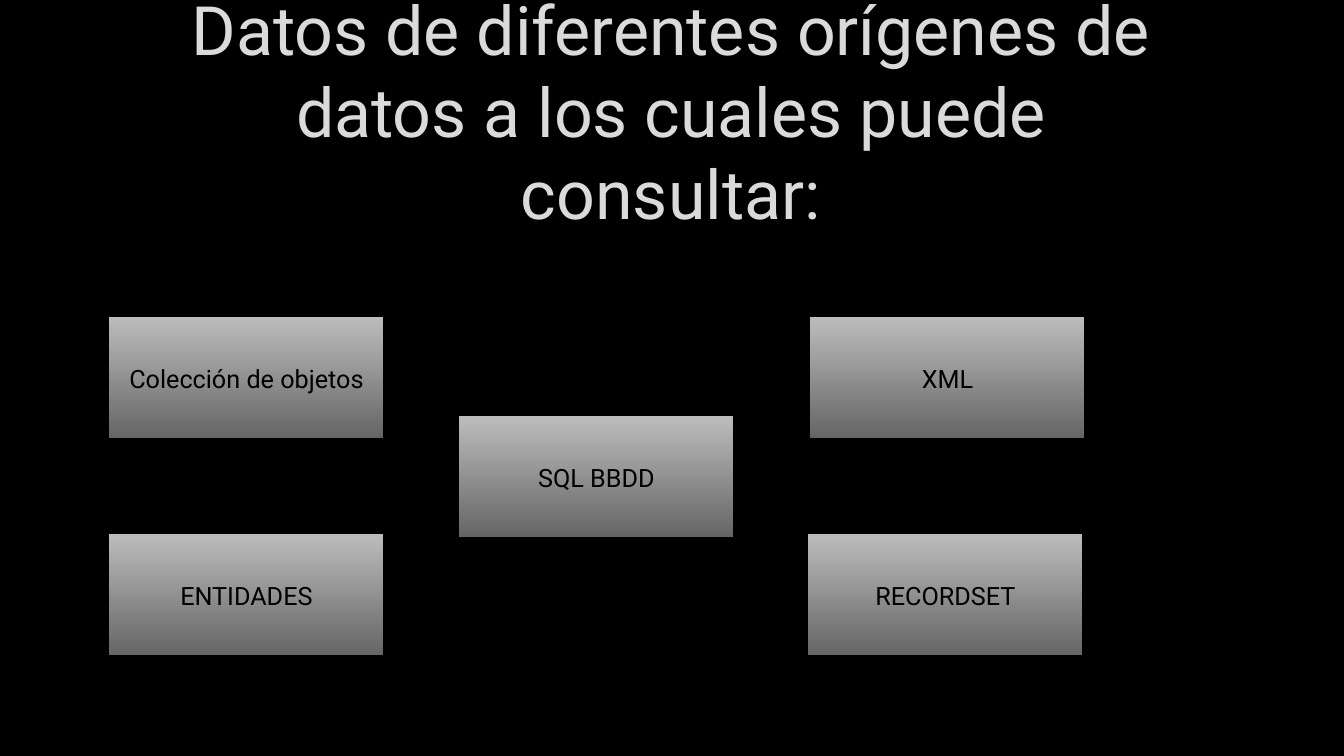
import pptx
import pptx.util
import pptx.dml.color
import pptx.enum.shapes
import pptx.enum.text
from dataclasses import dataclass


@dataclass(frozen=True)
class Theme:
    font: str = "Roboto"
    background: str = "000000"
    title_color: str = "DADADA"
    box_top: str = "BCBCBC"
    box_bottom: str = "656565"
    box_ink: str = "000000"
    title_size: float = 48.6
    box_size: float = 18
    line_width: float = 0.75


theme = Theme()
EMU_PER_PX = 914400 / 100.8


def px(n):
    return pptx.util.Emu(round(n * EMU_PER_PX))


def add_text(sp, text, size, color, anchor):
    tf = sp.text_frame
    tf.word_wrap = True
    tf.auto_size = pptx.enum.text.MSO_AUTO_SIZE.NONE
    tf.vertical_anchor = anchor
    p = tf.paragraphs[0]
    p.alignment = pptx.enum.text.PP_ALIGN.CENTER
    r = p.add_run()
    r.text = text
    r.font.name = theme.font
    r.font.size = pptx.util.Pt(size)
    r.font.color.rgb = pptx.dml.color.RGBColor.from_string(color)


prs = pptx.Presentation()
prs.slide_width, prs.slide_height = px(1344), px(756)
s = prs.slides.add_slide(prs.slide_layouts[5])
s.background.fill.solid()
s.background.fill.fore_color.rgb = pptx.dml.color.RGBColor.from_string(theme.background)

title = s.shapes.title
title.left, title.top, title.width, title.height = px(151), px(36), px(1040), px(202)
add_text(
    title,
    "Datos de diferentes orígenes de datos a los cuales puede consultar:",
    theme.title_size,
    theme.title_color,
    pptx.enum.text.MSO_ANCHOR.BOTTOM,
)

BOX_WIDTH, BOX_HEIGHT = 275, 122
sources = [
    ("Colección de objetos", 109, 317),
    ("XML", 810, 317),
    ("ENTIDADES", 109, 534),
    ("RECORDSET", 808, 534),
    ("SQL BBDD", 459, 416),
]
for name, left, top in sources:
    sp = s.shapes.add_shape(
        pptx.enum.shapes.MSO_SHAPE.RECTANGLE,
        px(left), px(top), px(BOX_WIDTH), px(BOX_HEIGHT),
    )
    sp.shadow.inherit = False
    sp.fill.gradient()
    sp.fill.gradient_angle = 270
    for stop, position, color in zip(
        sp.fill.gradient_stops, (0, 1), (theme.box_top, theme.box_bottom)
    ):
        stop.position = position
        stop.color.rgb = pptx.dml.color.RGBColor.from_string(color)
    sp.line.color.rgb = pptx.dml.color.RGBColor.from_string(theme.box_ink)
    sp.line.width = pptx.util.Pt(theme.line_width)
    add_text(sp, name, theme.box_size, theme.box_ink, pptx.enum.text.MSO_ANCHOR.MIDDLE)

prs.save("out.pptx")
